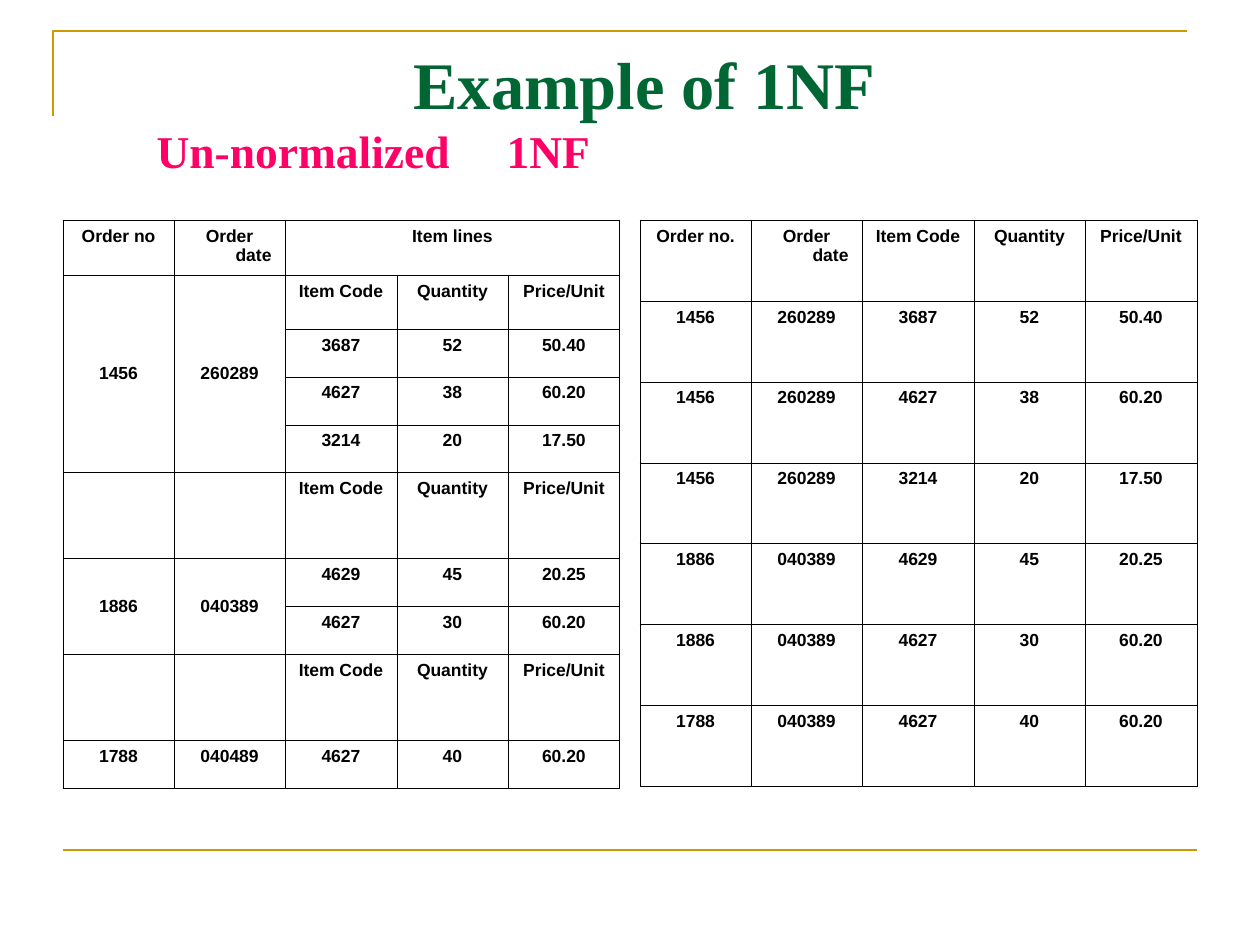
from dataclasses import dataclass

from lxml import etree
from pptx import Presentation, util as u
from pptx.dml.color import RGBColor
from pptx.enum import shapes, text
from pptx.oxml import parse_xml
from pptx.oxml.ns import nsdecls, qn


@dataclass(frozen=True)
class Theme:
    heading_font: str = "Times New Roman"
    table_font: str = "Arial"
    heading: str = "006633"
    subheading: str = "FF0066"
    table_text: str = "000000"
    border: str = "000000"
    rule: str = "CC9900"
    heading_size: int = 38
    subheading_size: int = 26
    table_size: int = 10
    rule_width: float = 1.5
    border_width: float = 0.45


def px(length):
    """Turn pixels, 126 to the inch, into EMU."""
    return u.Inches(length / 126)


def assign(target, values):
    for name, value in values.items():
        setattr(target, name, value)


class Page:
    """Draws themed elements on one slide."""

    def __init__(self, deck, theme):
        self.theme = theme
        self.slide = deck.slides.add_slide(deck.slide_layouts[5])

    def span(self, para, words, font, size, color):
        run = para.add_run()
        run.text = words
        assign(run.font, {"name": font, "size": u.Pt(size), "bold": True})
        run.font.color.rgb = RGBColor.from_string(color)

    def indent(self, para, left, first):
        properties = para._p.get_or_add_pPr()
        properties.set("marL", str(px(left)))
        properties.set("indent", str(px(first)))
        return properties

    def title(self, heading, subheads, left, top, width, height):
        """Place a heading over two subheadings that are set apart by a tab."""
        box = self.slide.shapes.title
        assign(box, {"left": px(left), "top": px(top),
                     "width": px(width), "height": px(height)})
        frame = box.text_frame
        assign(frame, {"word_wrap": True, "auto_size": text.MSO_AUTO_SIZE.NONE,
                       "vertical_anchor": text.MSO_ANCHOR.MIDDLE})
        theme = self.theme
        first, second = frame.paragraphs[0], frame.add_paragraph()
        self.indent(first, 0, 348)
        properties = self.indent(second, 0, 91)
        tabs = etree.SubElement(properties, qn("a:tabLst"))
        etree.SubElement(tabs, qn("a:tab"), pos=str(px(909)), algn="l")
        for para in (first, second):
            assign(para, {"alignment": text.PP_ALIGN.LEFT,
                          "space_before": u.Pt(0), "space_after": u.Pt(0)})
        self.span(first, heading, theme.heading_font, theme.heading_size, theme.heading)
        self.span(second, "\t".join(subheads), theme.heading_font,
                  theme.subheading_size, theme.subheading)

    def line_style(self, shape):
        shape.line.color.rgb = RGBColor.from_string(self.theme.rule)
        shape.line.width = u.Pt(self.theme.rule_width)

    def corner(self, left, top, right, bottom):
        builder = self.slide.shapes.build_freeform(px(left), px(bottom))
        builder.add_line_segments([(px(left), px(top)), (px(right), px(top))], close=False)
        shape = builder.convert_to_shape()
        shape.shadow.inherit = False
        shape.fill.background()
        self.line_style(shape)

    def rule(self, left, right, y):
        line = self.slide.shapes.add_connector(
            shapes.MSO_CONNECTOR.STRAIGHT, px(left), px(y), px(right), px(y))
        self.line_style(line)
        etree.SubElement(line._element.spPr, qn("a:effectLst"))

    def borders(self, cell):
        properties = cell._tc.get_or_add_tcPr()
        for side in ("lnL", "lnR", "lnT", "lnB"):
            properties.append(parse_xml(
                f'<a:{side} {nsdecls("a")} w="{u.Pt(self.theme.border_width)}">'
                f'<a:solidFill><a:srgbClr val="{self.theme.border}"/></a:solidFill>'
                f'</a:{side}>'))

    def table(self, left, top, widths, heights, rows, merges=()):
        """Build a bordered table; merges lists (row, column, last row, last column)."""
        theme = self.theme
        table = self.slide.shapes.add_table(
            len(rows), len(widths), px(left), px(top),
            px(sum(widths)), px(sum(heights))).table
        assign(table, {"first_row": False, "horz_banding": False})
        for column, width in zip(table.columns, widths):
            column.width = px(width)
        for row, height, values in zip(table.rows, heights, rows):
            row.height = px(height)
            for cell, value in zip(row.cells, values):
                self.borders(cell)
                cell.fill.background()
                if value:
                    para = cell.text_frame.paragraphs[0]
                    self.indent(para, 48, -48)
                    para.alignment = text.PP_ALIGN.CENTER
                    self.span(para, value, theme.table_font,
                              theme.table_size, theme.table_text)
        for row, column, last_row, last_column in merges:
            cell = table.cell(row, column)
            cell.merge(table.cell(last_row, last_column))
            if last_row > row:
                cell.vertical_anchor = text.MSO_ANCHOR.MIDDLE


ITEM_HEADS = ["Item Code", "Quantity", "Price/Unit"]
BLANK = ["", ""]
COLUMNS = [111, 111, 112, 111, 112]

UNNORMALIZED = [
    ["Order no", "Order date", "Item lines", "", ""],
    ["1456", "260289", *ITEM_HEADS],
    [*BLANK, "3687", "52", "50.40"],
    [*BLANK, "4627", "38", "60.20"],
    [*BLANK, "3214", "20", "17.50"],
    [*BLANK, *ITEM_HEADS],
    ["1886", "040389", "4629", "45", "20.25"],
    [*BLANK, "4627", "30", "60.20"],
    [*BLANK, *ITEM_HEADS],
    ["1788", "040489", "4627", "40", "60.20"],
]
UNNORMALIZED_HEIGHTS = [55, 54, 48, 48, 48, 86, 48, 48, 86, 48]
UNNORMALIZED_MERGES = [(0, 2, 0, 4)] + [
    (first, column, last, column) for first, last in ((1, 4), (6, 7)) for column in (0, 1)]

FIRST_NORMAL_FORM = [
    ["Order no.", "Order date", *ITEM_HEADS],
    ["1456", "260289", "3687", "52", "50.40"],
    ["1456", "260289", "4627", "38", "60.20"],
    ["1456", "260289", "3214", "20", "17.50"],
    ["1886", "040389", "4629", "45", "20.25"],
    ["1886", "040389", "4627", "30", "60.20"],
    ["1788", "040389", "4627", "40", "60.20"],
]


def main():
    deck = Presentation()
    assign(deck, {"slide_width": u.Inches(10), "slide_height": u.Inches(7.5)})
    page = Page(deck, Theme())
    page.corner(53, 31, 1187, 116)
    page.rule(63, 1197, 850)
    page.title("Example of 1NF", ["Un-normalized", "1NF"], 53, 31, 1134, 158)
    page.table(63, 220, COLUMNS, UNNORMALIZED_HEIGHTS, UNNORMALIZED, UNNORMALIZED_MERGES)
    page.table(640, 220, COLUMNS, [81] * len(FIRST_NORMAL_FORM), FIRST_NORMAL_FORM)
    deck.save("out.pptx")


if __name__ == "__main__":
    main()
